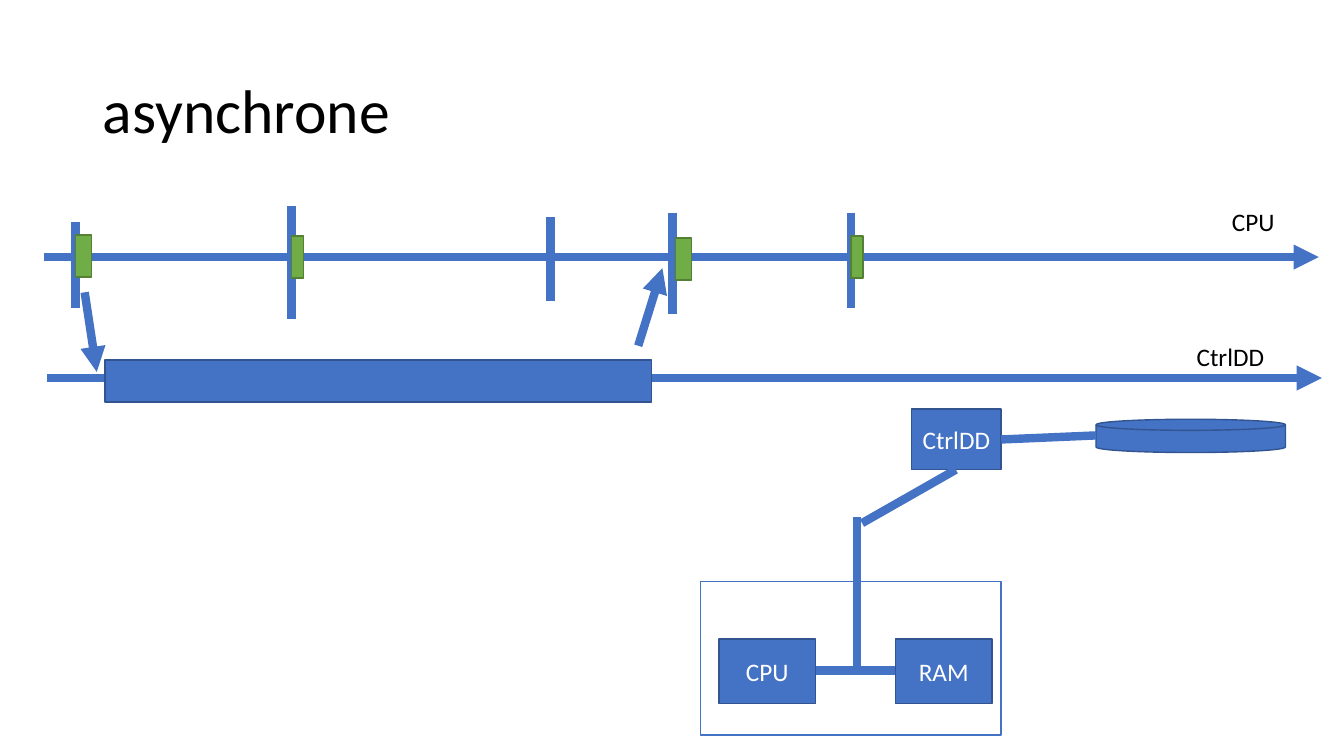
from pptx import Presentation
from pptx.dml.color import RGBColor
from pptx.enum.shapes import MSO_CONNECTOR, MSO_SHAPE
from pptx.enum.text import MSO_ANCHOR, MSO_AUTO_SIZE, PP_ALIGN
from pptx.oxml.ns import qn
from pptx.util import Inches, Pt
from lxml import etree

BLUE = RGBColor(0x44, 0x72, 0xC4)
DARK_BLUE = RGBColor(0x32, 0x54, 0x91)
GREEN = RGBColor(0x70, 0xAD, 0x47)
DARK_GREEN = RGBColor(0x53, 0x80, 0x35)
WHITE = RGBColor(0xFF, 0xFF, 0xFF)
BLACK = RGBColor(0, 0, 0)
STRAIGHT = MSO_CONNECTOR.STRAIGHT
RECT = MSO_SHAPE.RECTANGLE
DISK = MSO_SHAPE.FLOWCHART_MAGNETIC_DISK
MIDDLE = MSO_ANCHOR.MIDDLE
LEFT, CENTER = PP_ALIGN.LEFT, PP_ALIGN.CENTER
NO_FIT, GROW = MSO_AUTO_SIZE.NONE, MSO_AUTO_SIZE.SHAPE_TO_FIT_TEXT


class Diagram:
    """Draws styled elements on the current slide."""

    font = "Calibri"
    text_size = 18
    line_width = Pt(6)

    def __init__(self, slide):
        self.s = slide

    def set_text(self, tf, text, color, align, size=text_size):
        p = tf.paragraphs[0]
        p.text = text
        p.alignment = align
        p.font.name = self.font
        p.font.size = Pt(size)
        p.font.color.rgb = color
        return p

    def title(self, text, left, top, width, height):
        sp = self.s.shapes.title
        sp.left, sp.top = Inches(left), Inches(top)
        sp.width, sp.height = Inches(width), Inches(height)
        tf = sp.text_frame
        tf.auto_size = NO_FIT
        tf.vertical_anchor = MIDDLE
        self.set_text(tf, text, BLACK, LEFT, 44).line_spacing = 0.9

    def label(self, text, left, top, width, height=0.4):
        sp = self.s.shapes.add_textbox(
            Inches(left), Inches(top), Inches(width), Inches(height))
        tf = sp.text_frame
        tf.word_wrap = False
        tf.auto_size = GROW
        self.set_text(tf, text, BLACK, LEFT)

    def box(self, left, top, width, height, text="", kind=RECT,
            fill=BLUE, line=DARK_BLUE):
        sp = self.s.shapes.add_shape(
            kind, Inches(left), Inches(top), Inches(width), Inches(height))
        sp.shadow.inherit = False
        sp.fill.solid()
        sp.fill.fore_color.rgb = fill
        sp.line.color.rgb = line
        sp.line.width = Pt(1)
        if text:
            tf = sp.text_frame
            tf.vertical_anchor = MIDDLE
            tf.margin_left = tf.margin_right = 0
            self.set_text(tf, text, WHITE, CENTER)

    def line(self, x1, y1, x2, y2, arrow=False):
        cn = self.s.shapes.add_connector(
            STRAIGHT, Inches(x1), Inches(y1), Inches(x2), Inches(y2))
        cn.line.color.rgb = BLUE
        cn.line.width = self.line_width
        spPr = cn._element.spPr
        etree.SubElement(spPr, qn("a:effectLst"))
        if arrow:
            ln = spPr.find(qn("a:ln"))
            etree.SubElement(ln, qn("a:tailEnd"), type="triangle")


prs = Presentation()
prs.slide_width, prs.slide_height = Inches(13.33), Inches(7.5)
d = Diagram(prs.slides.add_slide(prs.slide_layouts[5]))

d.title("asynchrone", 0.92, 0.4, 11.5, 1.45)

d.line(0.44, 2.55, 13.08, 2.55, arrow=True)
for x, top, bottom in [(0.75, 2.2, 3.06), (2.89, 2.04, 3.16), (5.46, 2.15, 2.99),
                       (6.67, 2.11, 3.12), (8.44, 2.11, 3.06)]:
    d.line(x, top, x, bottom)
for left, top, width in [(0.75, 2.33, 0.16), (2.89, 2.34, 0.12),
                         (6.7, 2.36, 0.16), (8.44, 2.34, 0.12)]:
    d.box(left, top, width, 0.42, fill=GREEN, line=DARK_GREEN)
d.label("CPU", 12.12, 2, 0.63)

d.line(0.47, 3.75, 13.11, 3.75, arrow=True)
d.label("CtrlDD", 11.77, 3.34, 0.88)
d.line(0.84, 2.9, 0.96, 3.69, arrow=True)
d.box(1.04, 3.57, 5.42, 0.42)
d.line(6.33, 3.43, 6.57, 2.66, arrow=True)

d.box(6.95, 5.77, 2.98, 1.52, fill=WHITE, line=BLUE)
for name, left in [("CPU", 7.13), ("RAM", 8.88)]:
    d.box(left, 6.34, 0.96, 0.64, name)
d.box(9.04, 4.06, 0.89, 0.6, "CtrlDD")
d.box(10.87, 4.16, 1.88, 0.33, kind=DISK)
for ends in [(8.09, 6.65, 8.88, 6.65), (8.5, 6.65, 8.5, 5.13),
             (8.55, 5.19, 9.48, 4.66), (9.93, 4.36, 10.87, 4.32)]:
    d.line(*ends)

prs.save("out.pptx")
